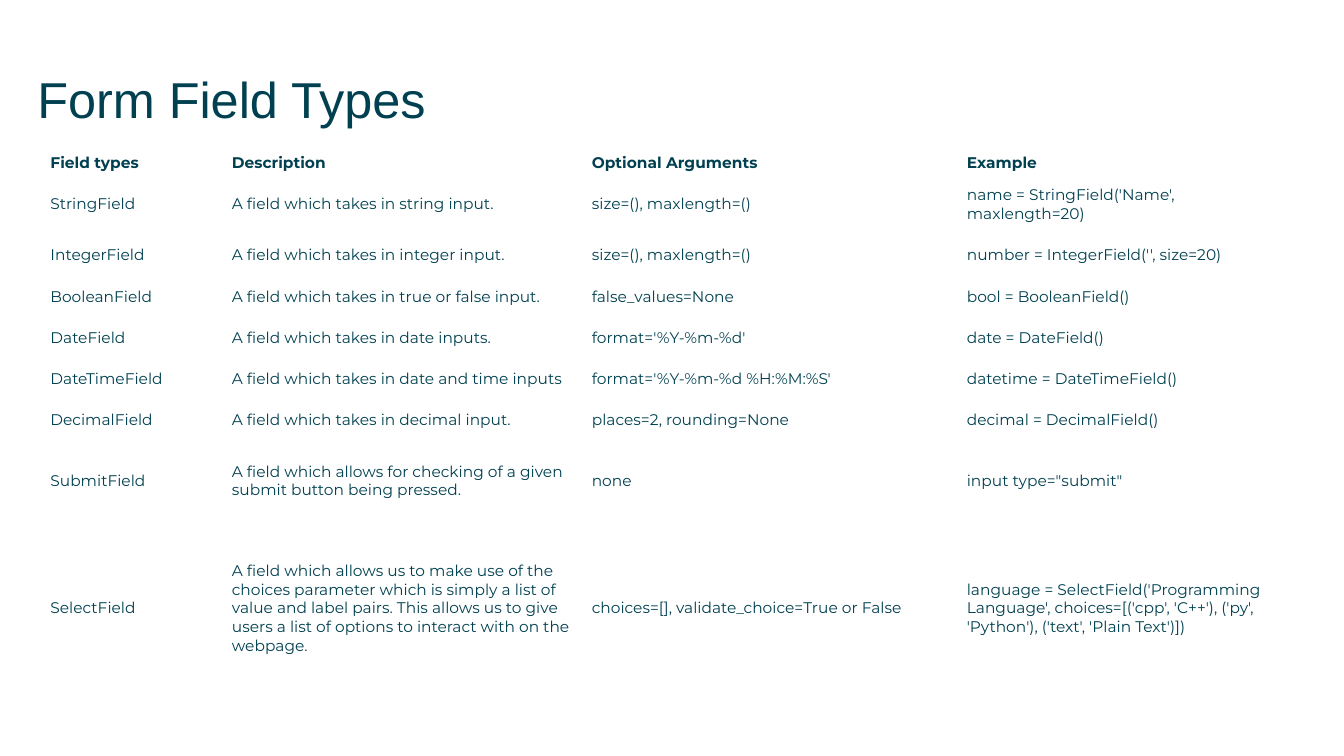
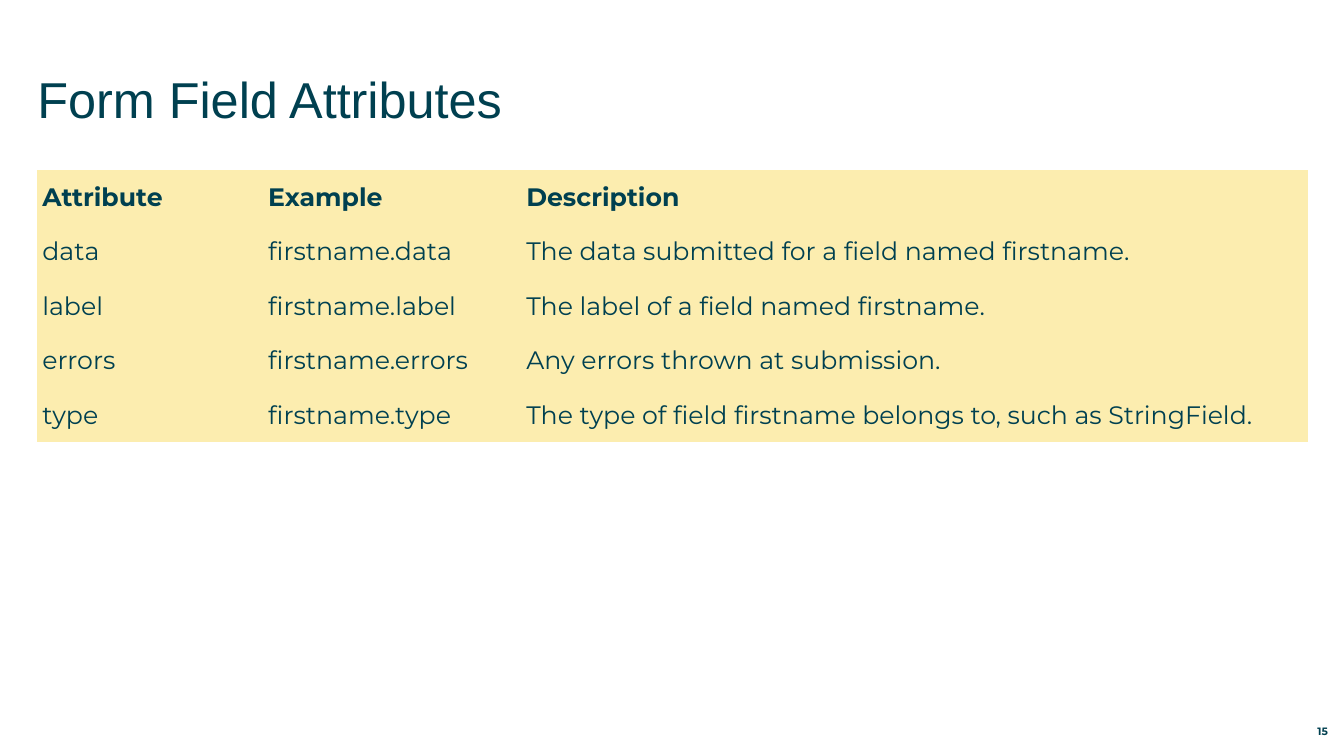
import pptx
import pptx.dml.color
import pptx.enum.text
import pptx.oxml.ns
import pptx.util
from pptx.util import Inches

INK = "004050"
CREAM = "FCEDAF"
TITLE_FONT = "Arial"
BODY_FONT = "Montserrat"
NO_GRID_STYLE = "{2D5ABB26-0587-4C30-8999-92F81FD0307C}"


def color(value):
    return pptx.dml.color.RGBColor.from_string(value)


def format_paragraph(paragraph, font_name, size, bold=False, alignment=pptx.enum.text.PP_ALIGN.LEFT):
    paragraph.alignment = alignment
    paragraph.font.name = font_name
    paragraph.font.size = pptx.util.Pt(size)
    paragraph.font.bold = bold
    paragraph.font.color.rgb = color(INK)


field_types = [
    ["Field types", "Description", "Optional Arguments", "Example"],
    ["StringField", "A field which takes in string input.", "size=(), maxlength=()",
     "name = StringField('Name', maxlength=20)"],
    ["IntegerField", "A field which takes in integer input.", "size=(), maxlength=()",
     "number = IntegerField('', size=20)"],
    ["BooleanField", "A field which takes in true or false input.", "false_values=None",
     "bool = BooleanField()"],
    ["DateField", "A field which takes in date inputs.", "format='%Y-%m-%d'",
     "date = DateField()"],
    ["DateTimeField", "A field which takes in date and time inputs", "format='%Y-%m-%d %H:%M:%S'",
     "datetime = DateTimeField()"],
    ["DecimalField", "A field which takes in decimal input.", "places=2, rounding=None",
     "decimal = DecimalField()"],
    ["SubmitField", "A field which allows for checking of a given submit button being pressed.",
     "none", 'input type="submit"'],
    ["SelectField",
     "A field which allows us to make use of the choices parameter which is simply a list of value "
     "and label pairs. This allows us to give users a list of options to interact with on the webpage.",
     "choices=[], validate_choice=True or False",
     "language = SelectField('Programming Language', "
     "choices=[('cpp', 'C++'), ('py', 'Python'), ('text', 'Plain Text')])"],
]
field_attributes = [
    ["Attribute", "Example", "Description"],
    ["data", "firstname.data", "The data submitted for a field named firstname."],
    ["label", "firstname.label", "The label of a field named firstname."],
    ["errors", "firstname.errors", "Any errors thrown at submission."],
    ["type", "firstname.type", "The type of field firstname belongs to, such as StringField."],
]
pages = [
    {"title": "Form Field Types", "rows": field_types, "left": 0.47, "top": 1.5,
     "widths": [1.8, 3.57, 3.72, 3.03], "heights": [0.22, 0.6] + [0.41] * 5 + [0.79, 1.74],
     "size": 11, "margins": (0.03, 0.02), "fill": None, "number": None},
    {"title": "Form Field Attributes", "rows": field_attributes, "left": 0.37, "top": 1.69,
     "widths": [2.24, 2.56, 7.8], "heights": [0.54] * 5,
     "size": 18, "margins": (0.05, 0.03), "fill": CREAM, "number": "15"},
]

presentation = pptx.Presentation()
presentation.slide_width = Inches(13.33)
presentation.slide_height = Inches(7.5)

for page in pages:
    slide = presentation.slides.add_slide(presentation.slide_layouts[5])

    title = slide.shapes.title
    title.left, title.top, title.width, title.height = map(Inches, (0.37, 0.61, 12.6, 0.88))
    title_frame = title.text_frame
    title_frame.text = page["title"]
    title_frame.auto_size = pptx.enum.text.MSO_AUTO_SIZE.NONE
    title_frame.vertical_anchor = pptx.enum.text.MSO_ANCHOR.TOP
    title_frame.margin_left = title_frame.margin_right = title_frame.margin_bottom = 0
    title_frame.margin_top = Inches(0.07)
    format_paragraph(title_frame.paragraphs[0], TITLE_FONT, 36)

    rows, widths, heights = page["rows"], page["widths"], page["heights"]
    table = slide.shapes.add_table(
        len(rows), len(widths), Inches(page["left"]), Inches(page["top"]),
        Inches(sum(widths)), Inches(sum(heights))).table
    table.horz_banding = False
    table._tbl.tblPr.find(pptx.oxml.ns.qn("a:tableStyleId")).text = NO_GRID_STYLE
    for column, width in zip(table.columns, widths):
        column.width = Inches(width)
    side_margin, end_margin = map(Inches, page["margins"])
    for row_index, (row, height) in enumerate(zip(table.rows, heights)):
        row.height = Inches(height)
        for cell, text in zip(row.cells, rows[row_index]):
            cell.text = text
            cell.vertical_anchor = pptx.enum.text.MSO_ANCHOR.MIDDLE
            cell.margin_left = cell.margin_right = side_margin
            cell.margin_top = cell.margin_bottom = end_margin
            if page["fill"]:
                cell.fill.solid()
                cell.fill.fore_color.rgb = color(page["fill"])
            else:
                cell.fill.background()
            format_paragraph(cell.text_frame.paragraphs[0], BODY_FONT, page["size"], row_index == 0)

    if page["number"]:
        number_box = slide.shapes.add_textbox(Inches(12.31), Inches(7.12), Inches(0.86), Inches(0.2))
        number_frame = number_box.text_frame
        number_frame.word_wrap = True
        number_frame.vertical_anchor = pptx.enum.text.MSO_ANCHOR.BOTTOM
        number_frame.margin_left = number_frame.margin_right = 0
        number_frame.margin_top = number_frame.margin_bottom = 0
        number_frame.text = page["number"]
        format_paragraph(number_frame.paragraphs[0], BODY_FONT, 7.6, True, pptx.enum.text.PP_ALIGN.RIGHT)

presentation.save("out.pptx")
